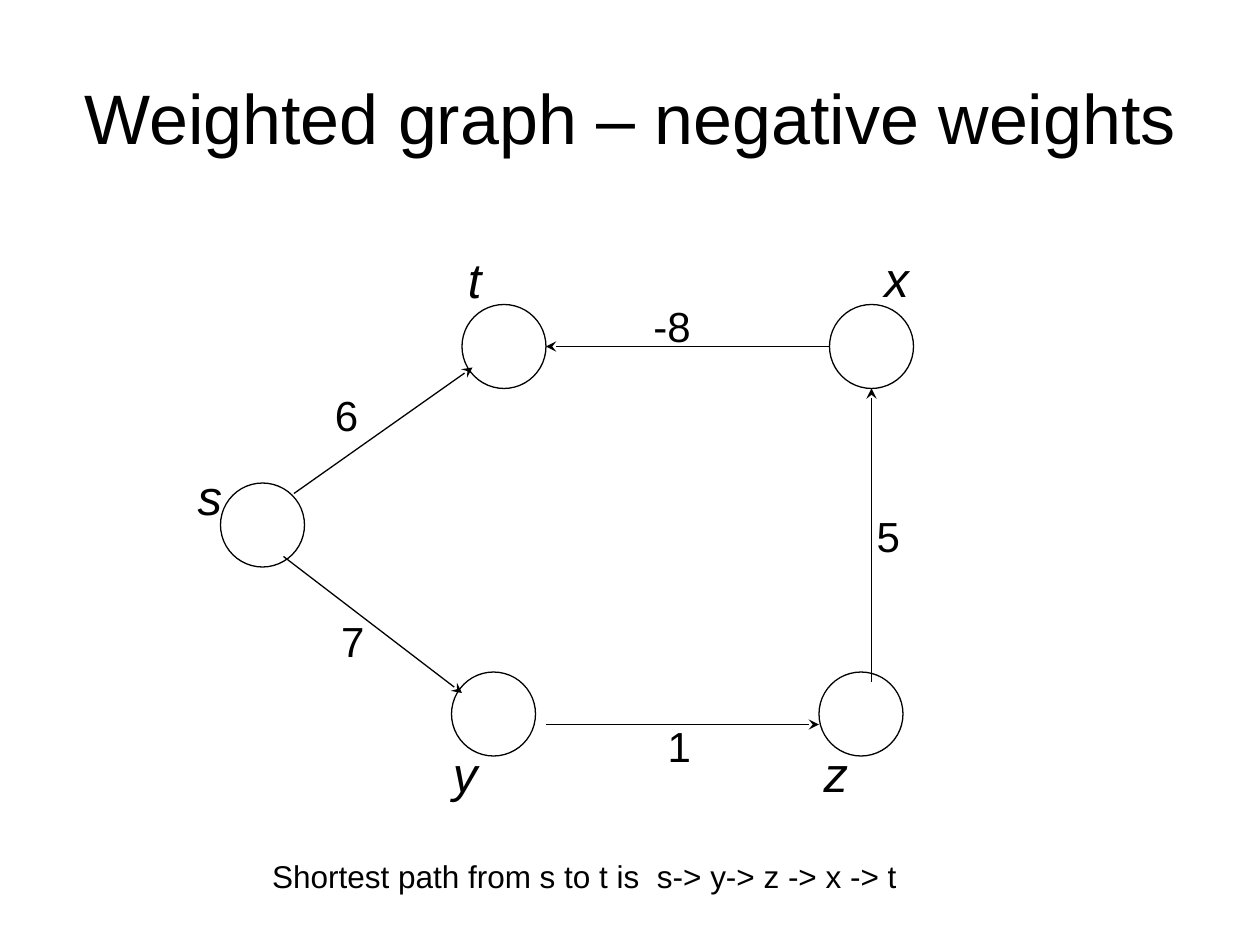
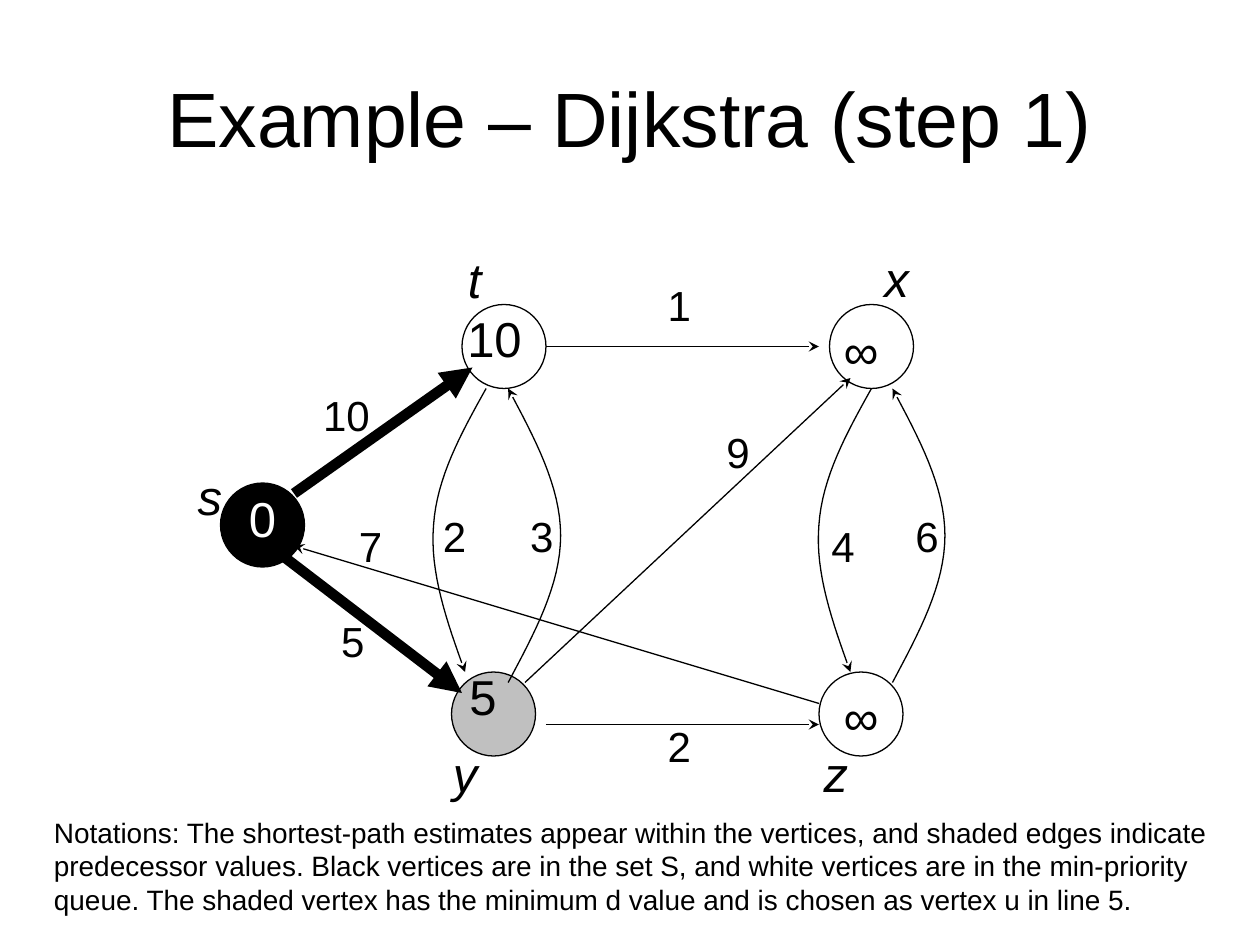
from dataclasses import dataclass

from lxml import etree
from pptx import Presentation
from pptx import util as u
from pptx.dml.color import RGBColor
from pptx.enum import shapes, text
from pptx.oxml import ns


@dataclass(frozen=True)
class Theme:
    font: str = "Arial"
    ink: str = "000000"
    paper: str = "FFFFFF"
    shade: str = "C0C0C0"
    title: int = 44
    long_title: int = 40
    vertex: int = 28
    weight: int = 24
    caption: int = 18
    notes: int = 16
    thin: float = 0.75
    thick: float = 6


@dataclass(frozen=True)
class Box:
    left: float
    top: float
    width: float
    height: float


@dataclass(frozen=True)
class Edge:
    start: tuple
    end: tuple
    weight: str
    label: tuple
    shaded: bool = False


@dataclass(frozen=True)
class Arc:
    start: tuple
    bend: tuple
    weight: str
    label: tuple


THEME = Theme()
SLIDE = Box(0, 0, 10, 7.5)
CELL = 1 / 12
GRAPH = Box(1.5, 23 * CELL, 72 * CELL, 54 * CELL)
DIAMETER = 8
GLYPH_WIDTHS = {"-": 0.33, "t": 0.28, "s": 0.5, "x": 0.5, "y": 0.5, "z": 0.5, "∞": 0.71}
DIGIT_WIDTH = 0.56

VERTICES = {
    "s": ((7, 27), (-5, -2.8)),
    "t": ((30, 10), (-2.8, -6.4)),
    "x": ((65, 10), (2.4, -6.5)),
    "y": ((29, 45), (-2.7, 5.6)),
    "z": ((64, 45), (-2.4, 5.6)),
}
S_TO_T = (10, 24), (27, 12)
S_TO_Y = (9, 30), (26, 43)
Y_TO_Z = (34, 46), (60, 46)
UPWARD = ((0, 0), (2.5, -4.7), (5, -9.3), (5, -14), (5, -18.7), (2.5, -23.3), (0, -28))
DOWNWARD = ((0, 0), (-2.4, 4.3), (-4.7, 8.5), (-5, 13), (-5.4, 17.5), (-3.7, 22.3), (-2, 27))

NEGATIVE_EDGES = [
    Edge(*S_TO_T, "6", (15, 16.5)),
    Edge(*S_TO_Y, "7", (15.6, 38)),
    Edge((65, 42), (65, 14), "5", (66.6, 28)),
    Edge(*Y_TO_Z, "1", (46.7, 48)),
    Edge((61, 10), (34, 10), "-8", (46, 8)),
]
DIJKSTRA_EDGES = [
    Edge(*S_TO_T, "10", (15, 16.5), True),
    Edge(*S_TO_Y, "5", (15.6, 38), True),
    Edge(*Y_TO_Z, "2", (46.7, 48)),
    Edge((32, 42), (63, 13), "9", (52.3, 20)),
    Edge((60, 44), (10, 29), "7", (17.3, 29)),
    Edge((34, 10), (60, 10), "1", (46.7, 6)),
]
DIJKSTRA_ARCS = [
    Arc((67, 42), UPWARD, "6", (70.3, 28)),
    Arc((65, 14), DOWNWARD, "4", (62.3, 29)),
    Arc((30.4, 42), UPWARD, "3", (33.6, 28)),
    Arc((28.3, 14), DOWNWARD, "2", (25.3, 28)),
]
ESTIMATES = {
    "s": ("0", (0, -0.7)),
    "t": ("10", (-0.9, -0.8)),
    "y": ("5", (-1, -1.7)),
    "x": ("∞", (-1, 0.3)),
    "z": ("∞", (0, 0.2)),
}
NOTES = (
    "Notations: The shortest-path estimates appear within the vertices, and shaded edges "
    "indicate predecessor values. Black vertices are in the set S, and white vertices are "
    "in the min-priority queue. The shaded vertex has the minimum d value and is chosen as "
    "vertex u in line 5."
)


def colour(code):
    return RGBColor.from_string(code)


def share(left, top, width, height):
    return Box(left * SLIDE.width, top * SLIDE.height, width * SLIDE.width, height * SLIDE.height)


def locate(box, cell):
    return u.Inches(box.left + cell[0] * CELL), u.Inches(box.top + cell[1] * CELL)


def shift(cell, offset):
    return cell[0] + offset[0], cell[1] + offset[1]


def add_text(page, box, words, size, ink=THEME.ink, italic=False, wrap=False,
             align=text.PP_ALIGN.CENTER, anchor=text.MSO_ANCHOR.TOP):
    holder = page.shapes.add_textbox(*(u.Inches(n) for n in (box.left, box.top, box.width, box.height)))
    frame = holder.text_frame
    frame.word_wrap = wrap
    frame.vertical_anchor = anchor
    para = frame.paragraphs[0]
    para.alignment = align
    span = para.add_run()
    span.text = words
    span.font.name = THEME.font
    span.font.size = u.Pt(size)
    span.font.italic = italic
    span.font.color.rgb = colour(ink)


def add_label(page, box, cell, words, size, **style):
    width = 0.2 + sum(GLYPH_WIDTHS.get(glyph, DIGIT_WIDTH) for glyph in words) * size / 72
    height = 0.1 + 1.2 * size / 72
    left = box.left + cell[0] * CELL - width / 2
    top = box.top + cell[1] * CELL - height / 2
    add_text(page, Box(left, top, width, height), words, size, **style)


def style_line(line, width=THEME.thin):
    line.color.rgb = colour(THEME.ink)
    line.width = u.Pt(width)


def add_arrowhead(shape, kind):
    outline = shape.line._get_or_add_ln()
    etree.SubElement(outline, ns.qn("a:tailEnd"), type=kind, w="med", len="med")


def draw_vertices(page, box, fills):
    for name, (centre, name_offset) in VERTICES.items():
        corner = shift(centre, (-DIAMETER / 2, -DIAMETER / 2))
        side = u.Inches(DIAMETER * CELL)
        vertex = page.shapes.add_shape(shapes.MSO_SHAPE.OVAL, *locate(box, corner), side, side)
        vertex.shadow.inherit = False
        if name in fills:
            vertex.fill.solid()
            vertex.fill.fore_color.rgb = colour(fills[name])
        else:
            vertex.fill.background()
        style_line(vertex.line)
        add_label(page, box, shift(centre, name_offset), name, THEME.vertex, italic=True)


def draw_edges(page, box, edges):
    for edge in edges:
        arrow = page.shapes.add_connector(
            shapes.MSO_CONNECTOR.STRAIGHT, *locate(box, edge.start), *locate(box, edge.end))
        style_line(arrow.line, THEME.thick if edge.shaded else THEME.thin)
        add_arrowhead(arrow, "triangle" if edge.shaded else "stealth")
        etree.SubElement(arrow._element.spPr, ns.qn("a:effectLst"))
        add_label(page, box, edge.label, edge.weight, THEME.weight)


def bezier_points(controls, steps=16):
    for step in range(1, steps + 1):
        t = step / steps
        blend = ((1 - t) ** 3, 3 * t * (1 - t) ** 2, 3 * t * t * (1 - t), t ** 3)
        yield tuple(sum(b * point[axis] for b, point in zip(blend, controls)) for axis in (0, 1))


def draw_arcs(page, box, arcs):
    for arc in arcs:
        controls = [shift(arc.start, offset) for offset in arc.bend]
        points = [*bezier_points(controls[:4]), *bezier_points(controls[3:])]
        builder = page.shapes.build_freeform(*locate(box, arc.start))
        builder.add_line_segments([locate(box, point) for point in points], close=False)
        curve = builder.convert_to_shape()
        curve.fill.background()
        style_line(curve.line)
        add_arrowhead(curve, "stealth")
        curve.shadow.inherit = False
        add_label(page, box, arc.label, arc.weight, THEME.weight)


def draw_estimates(page, box, estimates, inks):
    for name, (value, offset) in estimates.items():
        cell = shift(VERTICES[name][0], offset)
        add_label(page, box, cell, value, THEME.vertex, ink=inks.get(name, THEME.ink))


def add_page(deck, title, size):
    page = deck.slides.add_slide(deck.slide_layouts[6])
    add_text(page, share(0.05, 0.04, 0.9, 0.167), title, size, wrap=True,
             anchor=text.MSO_ANCHOR.MIDDLE)
    return page


def build_negative_weights(deck):
    page = add_page(deck, "Weighted graph – negative weights", THEME.long_title)
    draw_vertices(page, GRAPH, {})
    draw_edges(page, GRAPH, NEGATIVE_EDGES)
    add_text(page, share(0.206, 0.9, 0.516, 0.053),
             "Shortest path from s to t is  s-> y-> z -> x -> t", THEME.caption)


def build_dijkstra_step(deck):
    page = add_page(deck, "Example – Dijkstra (step 1)", THEME.title)
    draw_vertices(page, GRAPH, {"s": THEME.ink, "y": THEME.shade})
    draw_edges(page, GRAPH, DIJKSTRA_EDGES)
    draw_arcs(page, GRAPH, DIJKSTRA_ARCS)
    draw_estimates(page, GRAPH, ESTIMATES, {"s": THEME.paper})
    add_text(page, share(0.033, 0.856, 0.967, 0.12), NOTES, THEME.notes, wrap=True,
             align=text.PP_ALIGN.LEFT)


def main():
    deck = Presentation()
    deck.slide_width = u.Inches(SLIDE.width)
    deck.slide_height = u.Inches(SLIDE.height)
    build_negative_weights(deck)
    build_dijkstra_step(deck)
    deck.save("out.pptx")


if __name__ == "__main__":
    main()
